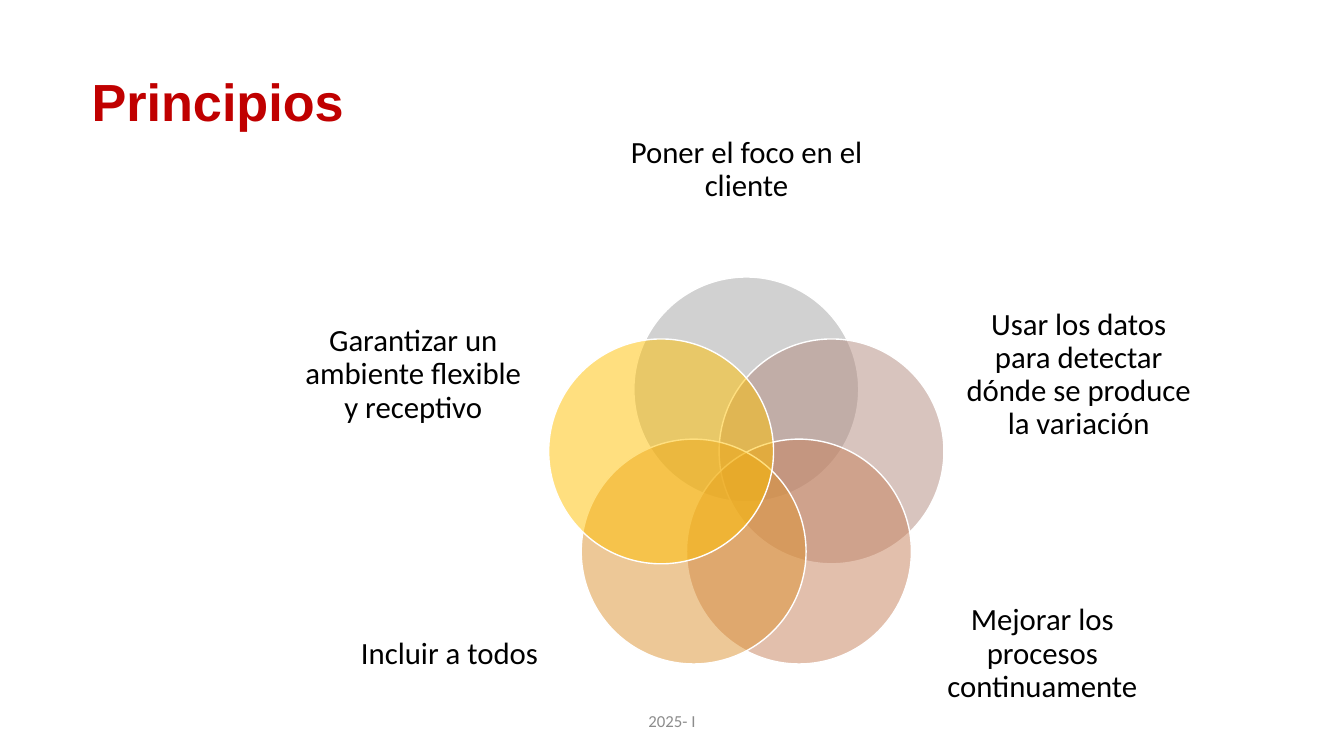
from dataclasses import dataclass
from math import cos, radians, sin

from lxml import etree
from pptx import Presentation
from pptx.dml.color import RGBColor
from pptx.enum import shapes, text
from pptx.oxml import ns
from pptx.util import Pt


@dataclass
class Principle:
    wording: str
    color: str
    left: float
    top: float
    width: float
    height: float


# Clockwise from the top of the ring; lengths in points
PRINCIPLES = [
    Principle("Poner el foco en el cliente", "A5A5A5", 440, 67.5, 186.5, 108),
    Principle("Usar los datos para detectar dónde se produce la variación",
              "B38B7F", 687, 209.5, 167, 116.6),
    Principle("Mejorar los procesos continuamente", "C7815B", 661, 409, 167, 116.6),
    Principle("Incluir a todos", "DD9331", 237.6, 409, 167, 116.6),
    Principle("Garantizar un ambiente flexible y receptivo",
              "FFC000", 211.7, 209.5, 167, 116.6),
]
RING_X, RING_Y, RING_RADIUS = 533.1, 342.2, 64
DIAMETER = 160.6


def rgb(color: str) -> RGBColor:
    return RGBColor.from_string(color)


def place(shape, left: float, top: float, width: float, height: float) -> None:
    shape.left, shape.top = Pt(left), Pt(top)
    shape.width, shape.height = Pt(width), Pt(height)


def write(box, wording: str, size: float, color: str, font: str = "Calibri",
          bold: bool = False, align=text.PP_ALIGN.CENTER,
          anchor=text.MSO_ANCHOR.MIDDLE, spacing: float = 1) -> None:
    frame = box.text_frame
    frame.word_wrap = True
    frame.auto_size = text.MSO_AUTO_SIZE.NONE
    frame.vertical_anchor = anchor
    frame.margin_left = frame.margin_right = 0
    frame.margin_top = frame.margin_bottom = 0
    para = frame.paragraphs[0]
    para.alignment = align
    para.line_spacing = spacing
    span = para.add_run()
    span.text = wording
    span.font.name, span.font.size, span.font.bold = font, Pt(size), bold
    span.font.color.rgb = rgb(color)


def add_circle(page, center_x: float, center_y: float, color: str) -> None:
    circle = page.shapes.add_shape(
        shapes.MSO_SHAPE.OVAL, Pt(center_x - DIAMETER / 2),
        Pt(center_y - DIAMETER / 2), Pt(DIAMETER), Pt(DIAMETER))
    circle.shadow.inherit = False
    circle.fill.solid()
    circle.fill.fore_color.rgb = rgb(color)
    fill = circle._element.spPr.find(ns.qn("a:solidFill"))
    etree.SubElement(fill[0], ns.qn("a:alpha"), val="50000")
    circle.line.color.rgb = rgb("FFFFFF")
    circle.line.width = Pt(1)


def add_label(page, left: float, top: float, width: float, height: float,
              wording: str, size: float, color: str, spacing: float = 1) -> None:
    box = page.shapes.add_textbox(Pt(left), Pt(top), Pt(width), Pt(height))
    write(box, wording, size, color, spacing=spacing)


def main() -> None:
    deck = Presentation()
    deck.slide_width, deck.slide_height = Pt(960), Pt(540)
    page = deck.slides.add_slide(deck.slide_layouts[5])

    # Title
    title = page.shapes.title
    place(title, 64, 48.2, 198.7, 46.8)
    write(title, "Principios", 37.3, "C00000", "Arial", True,
          text.PP_ALIGN.JUSTIFY, text.MSO_ANCHOR.TOP)
    title.text_frame.margin_top = Pt(1.4)
    title.text_frame.paragraphs[0].space_before = Pt(1.3)
    title.text_frame.margin_left = Pt(1.4)

    # Footer
    add_label(page, 318, 500.5, 324, 28.8, "2025- I", 12, "8C8C8C")

    # Ring of overlapping circles with their labels
    for index, item in enumerate(PRINCIPLES):
        angle = radians(index * 360 / len(PRINCIPLES))
        add_circle(page, RING_X + RING_RADIUS * sin(angle),
                   RING_Y - RING_RADIUS * cos(angle), item.color)
        add_label(page, item.left, item.top, item.width, item.height,
                  item.wording, 22, "000000", 0.9)

    deck.save("out.pptx")


if __name__ == "__main__":
    main()
